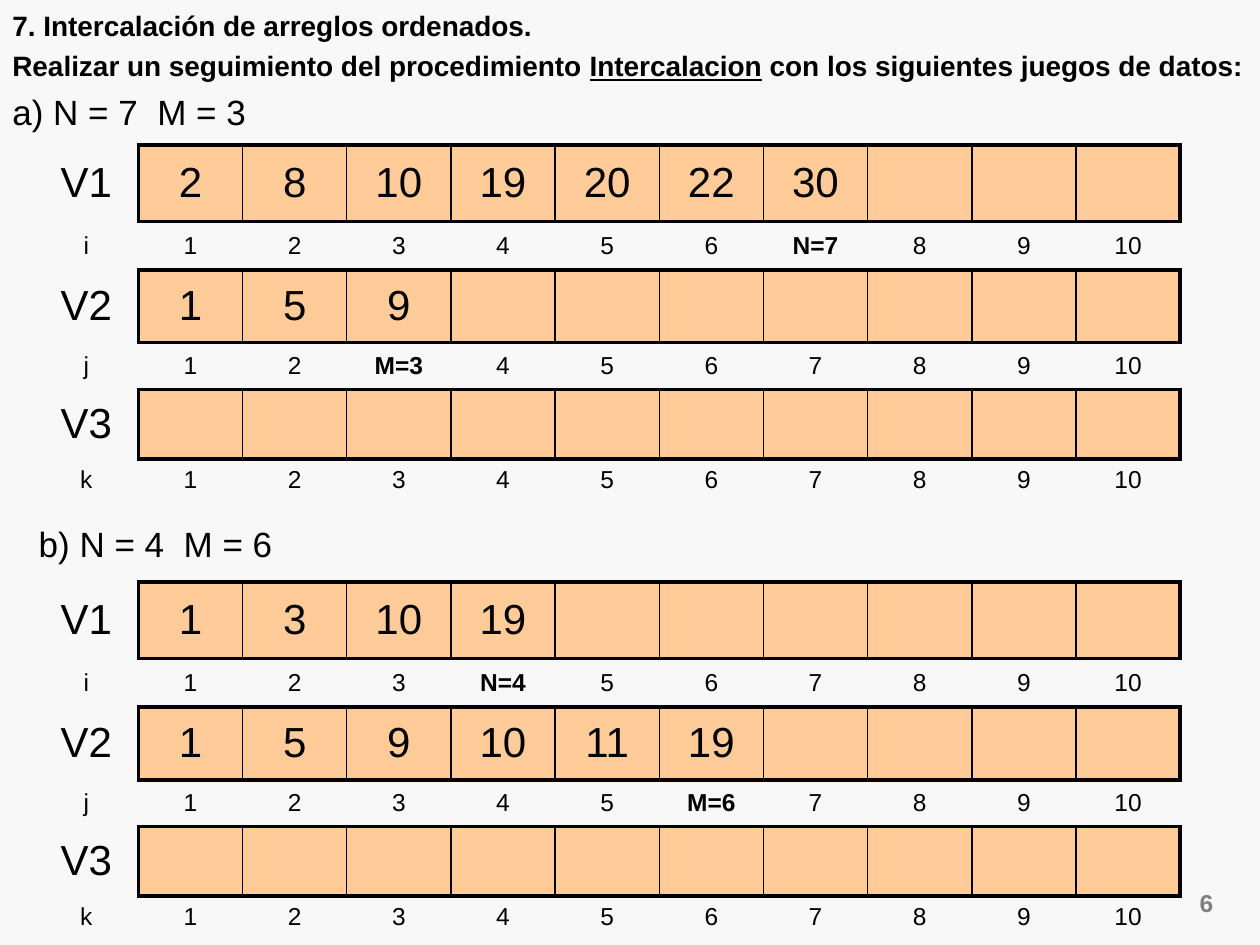
from lxml.etree import SubElement
from pptx import Presentation
from pptx.dml.color import RGBColor
from pptx.enum.text import MSO_ANCHOR as Anchor, PP_ALIGN as Align
from pptx.oxml.ns import qn
from pptx.util import Cm, Pt

THEME = {
    "font": "Arial",
    "background": "F8F8F8", "ink": "000000", "muted": "808080", "array": "FFCC99",
    "heading": 16, "case": 20, "value": 24, "index": 14,
    "outer_line": 2.25, "inner_line": 1,
}

# A run is (text, style); the style lists what differs from plain text.
BOLD = {"bold": True}
HEADING = [
    ("heading", [("7. Intercalación de arreglos ordenados.", BOLD)]),
    ("heading", [
        ("Realizar un seguimiento del procedimiento ", BOLD),
        ("Intercalacion", {"bold": True, "underline": True}),
        (" con los siguientes juegos de datos:", BOLD),
    ]),
    ("case", [("a) N = 7  M = 3", {})]),
]
CASE_B = [("case", [("b) N = 4  M = 6", {})])]
PAGE_NUMBER = [("index", [("6", {"bold": True, "color": "muted"})])]

# Array name, index name, name of its length, values
CASES = [
    (2.92, [("V1", "i", "N", [2, 8, 10, 19, 20, 22, 30]),
            ("V2", "j", "M", [1, 5, 9]),
            ("V3", "k", "", [])]),
    (11.73, [("V1", "i", "N", [1, 3, 10, 19]),
             ("V2", "j", "M", [1, 5, 9, 10, 11, 19]),
             ("V3", "k", "", [])]),
]
SLOTS = 10
TABLE_LEFT, COLUMN_WIDTH = 0.69, 2.1
ROW_HEIGHTS = [1.55, 0.97, 1.47, 0.94, 1.4, 0.84]
SPACE_BEFORE = 0.23  # of the type size, about a fifth of a line


def color(name):
    return RGBColor.from_string(THEME[name])


def add_run(paragraph, text, size, style):
    run = paragraph.add_run()
    run.text = text
    font = run.font
    font.name, font.size = THEME["font"], Pt(THEME[size])
    font.bold = style.get("bold", False)
    font.underline = style.get("underline", False)
    font.color.rgb = color(style.get("color", "ink"))


def add_text(slide, paragraphs, left, top, width, height, align=Align.JUSTIFY):
    frame = slide.shapes.add_textbox(Cm(left), Cm(top), Cm(width), Cm(height)).text_frame
    frame.word_wrap = True
    for position, (size, runs) in enumerate(paragraphs):
        paragraph = frame.paragraphs[0] if position == 0 else frame.add_paragraph()
        paragraph.alignment = align
        paragraph.space_before = Pt(round(THEME[size] * SPACE_BEFORE, 1))
        for text, style in runs:
            add_run(paragraph, text, size, style)


def set_borders(cell, **widths):
    """Draw the sides given in points (L, R, T, B) and hide the others."""
    properties = cell._tc.get_or_add_tcPr()
    for side in "LRTB":
        width = widths.get(side, 0)
        line = SubElement(properties, qn(f"a:ln{side}"), w=str(Pt(width)))
        if width:
            fill = SubElement(line, qn("a:solidFill"))
            SubElement(fill, qn("a:srgbClr"), val=THEME["ink"])
        else:
            SubElement(line, qn("a:noFill"))


def fill_cell(cell, text, size, style, fill=None):
    cell.vertical_anchor = Anchor.MIDDLE
    if fill:
        cell.fill.solid()
        cell.fill.fore_color.rgb = color(fill)
    else:
        cell.fill.background()
    paragraph = cell.text_frame.paragraphs[0]
    paragraph.alignment = Align.CENTER
    if text:
        add_run(paragraph, text, size, style)


def add_arrays(slide, top, arrays):
    """Each array takes two rows: its values, then the indexes below."""
    outer, inner = THEME["outer_line"], THEME["inner_line"]
    frame = slide.shapes.add_table(
        2 * len(arrays), SLOTS + 1, Cm(TABLE_LEFT), Cm(top),
        Cm(COLUMN_WIDTH * (SLOTS + 1)), Cm(sum(ROW_HEIGHTS)))
    table = frame.table
    table.first_row = table.horz_banding = False
    for column in table.columns:
        column.width = Cm(COLUMN_WIDTH)
    for row, height in zip(table.rows, ROW_HEIGHTS):
        row.height = Cm(height)

    for position, (array, index, length, values) in enumerate(arrays):
        value_row, index_row = 2 * position, 2 * position + 1
        is_last = position == len(arrays) - 1
        array_cell, index_cell = table.cell(value_row, 0), table.cell(index_row, 0)
        set_borders(array_cell, R=outer)
        fill_cell(array_cell, array, "value", {})
        set_borders(index_cell)
        fill_cell(index_cell, index, "index", {})

        for slot in range(1, SLOTS + 1):
            value_cell, number_cell = table.cell(value_row, slot), table.cell(index_row, slot)
            value = str(values[slot - 1]) if slot <= len(values) else ""
            set_borders(value_cell, T=outer, B=outer,
                        L=outer if slot == 1 else inner,
                        R=outer if slot == SLOTS else inner)
            fill_cell(value_cell, value, "value", {}, "array")

            is_end = slot == len(values)
            set_borders(number_cell, T=outer, B=0 if is_last else outer)
            fill_cell(number_cell, f"{length}={slot}" if is_end else str(slot),
                      "index", {"bold": is_end})


def main():
    deck = Presentation()
    deck.slide_width, deck.slide_height = Cm(25.4), Cm(19.05)
    slide = deck.slides.add_slide(deck.slide_layouts[6])
    slide.background.fill.solid()
    slide.background.fill.fore_color.rgb = color("background")

    add_text(slide, PAGE_NUMBER, 23.06, 17.78, 1.65, 0.84, Align.RIGHT)
    add_text(slide, HEADING, 0, 0.05, 25.4, 2.79)
    add_text(slide, CASE_B, 0.53, 10.41, 24.33, 1.09)
    for top, arrays in CASES:
        add_arrays(slide, top, arrays)
    deck.save("out.pptx")


if __name__ == "__main__":
    main()
